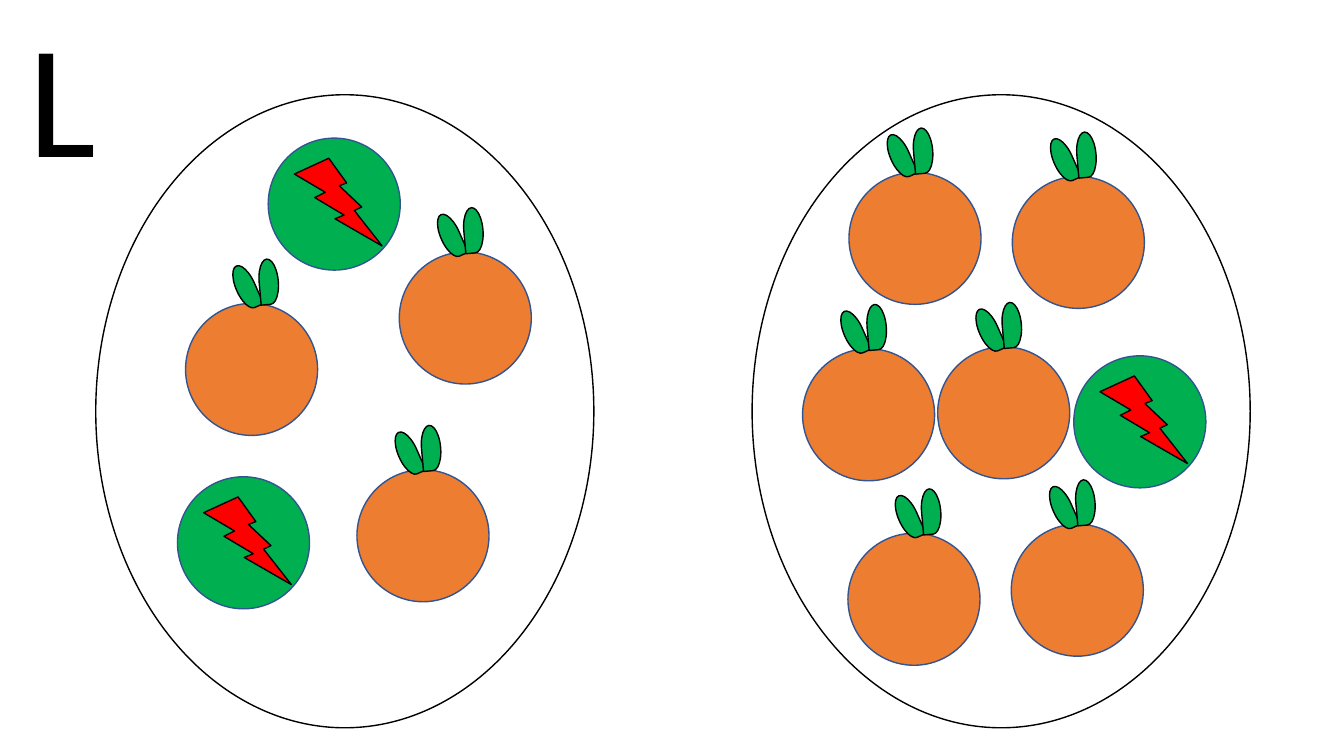
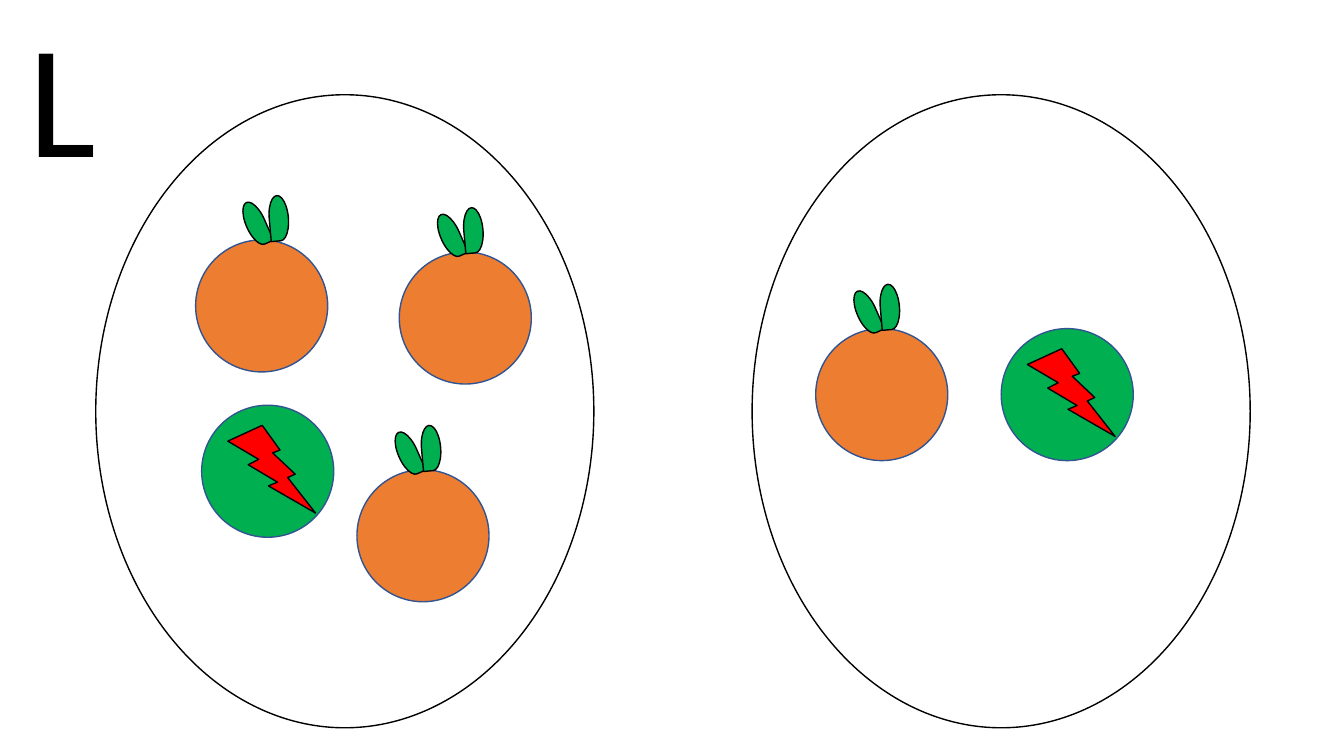
from pptx import Presentation
from pptx.dml.color import RGBColor
from pptx.enum.shapes import MSO_SHAPE
from pptx.enum.text import MSO_AUTO_SIZE
from pptx.util import Inches, Pt

BLACK, WHITE, RED = "000000", "FFFFFF", "FF0000"
ORANGE, GREEN, BLUE = "ED7D31", "00B050", "325491"
FRUIT_SIZE = 1.31
PLATES = [(0.95, 0.94), (7.46, 0.94)]
SHARED_ORANGES = [(3.54, 4.66), (3.96, 2.5)]
NEAR, FAR = 0.28, 0.37  # leaf distance from the left edge of an orange


def color(value):
    """Turn a hex string into a colour."""
    return RGBColor.from_string(value)


class Deck:
    """Hold the shared style and the current slide."""

    def __init__(self):
        """Start an empty widescreen presentation."""
        self.prs = Presentation()
        self.prs.slide_width = Inches(13.33)
        self.prs.slide_height = Inches(7.5)
        self.s = None

    def slide(self):
        """Add a blank slide and make it current."""
        self.s = self.prs.slides.add_slide(self.prs.slide_layouts[6])

    def shape(self, shapes, kind, x, y, w, h, fill, line=BLACK, rotation=0, flip=False):
        """Add a filled, outlined preset shape."""
        sp = shapes.add_shape(kind, Inches(x), Inches(y), Inches(w), Inches(h))
        sp.shadow.inherit = False
        sp.fill.solid()
        sp.fill.fore_color.rgb = color(fill)
        sp.line.color.rgb = color(line)
        sp.line.width = Pt(1)
        sp.rotation = rotation
        if flip:
            sp._element.spPr.xfrm.set("flipH", "1")

    def plate(self, x, y):
        """Add a large white oval."""
        self.shape(self.s.shapes, MSO_SHAPE.OVAL, x, y, 4.94, 6.28, WHITE)

    def ball(self, x, y, fill):
        """Add a round body in a new group and return the group's shapes."""
        shapes = self.s.shapes.add_group_shape().shapes
        self.shape(shapes, MSO_SHAPE.OVAL, x, y, FRUIT_SIZE, FRUIT_SIZE, fill, BLUE)
        return shapes

    def orange(self, x, y, leaf=NEAR):
        """Add an orange with two leaves."""
        shapes = self.ball(x, y, ORANGE)
        for dx, dy, rotation, flip in [(0, -0.26, 66.2, False), (0.23, -0.31, 264.9, True)]:
            self.shape(shapes, MSO_SHAPE.TEAR, x + leaf + dx, y + dy, 0.45, 0.19,
                       GREEN, rotation=rotation, flip=flip)

    def bolt(self, x, y):
        """Add a green ball with a red lightning bolt."""
        shapes = self.ball(x, y, GREEN)
        self.shape(shapes, MSO_SHAPE.LIGHTNING_BOLT, x + 0.26, y + 0.2, 0.87, 0.87, RED)

    def letter(self, text):
        """Add the large letter in the top left corner."""
        tf = self.s.shapes.add_textbox(Inches(0.18), Inches(-0.08), Inches(0.88), Inches(2.04)).text_frame
        tf.word_wrap = False
        tf.auto_size = MSO_AUTO_SIZE.SHAPE_TO_FIT_TEXT
        r = tf.paragraphs[0].add_run()
        r.text = text
        for name, value in {"name": "Calibri", "size": Pt(115)}.items():
            setattr(r.font, name, value)
        r.font.color.rgb = color(BLACK)


SLIDES = [
    {
        "oranges": [(1.84, 3.01, FAR), (8.41, 5.29, FAR), (10.03, 5.2), (7.96, 3.46),
                    (9.3, 3.44), (8.42, 1.71), (10.04, 1.75)],
        "bolts": [(10.65, 3.53), (1.76, 4.73), (2.66, 1.37)],
    },
    {
        "oranges": [(1.94, 2.38, FAR), (8.09, 3.26)],
        "bolts": [(9.93, 3.26), (2, 4.02)],
    },
]

deck = Deck()
for content in SLIDES:
    deck.slide()
    for place in PLATES:
        deck.plate(*place)
    for place in SHARED_ORANGES + content["oranges"]:
        deck.orange(*place)
    for place in content["bolts"]:
        deck.bolt(*place)
    deck.letter("L")
deck.prs.save("out.pptx")
